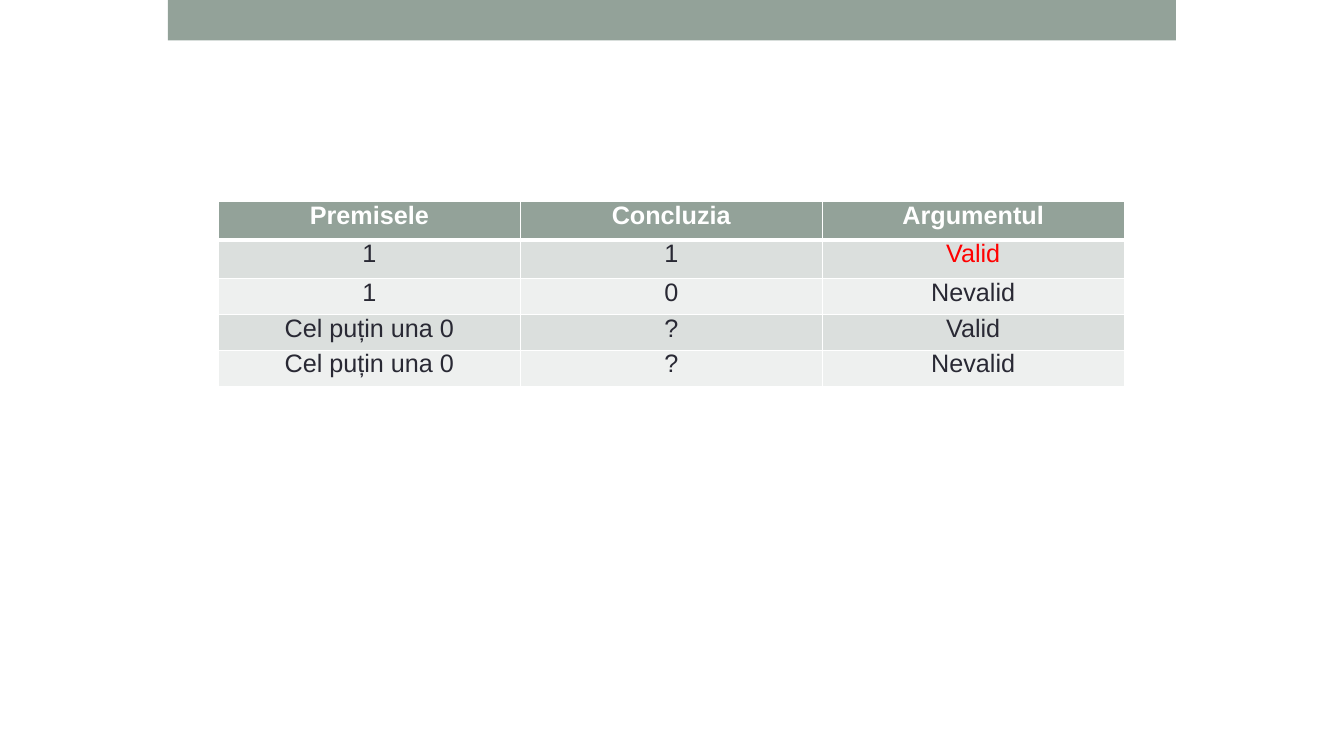
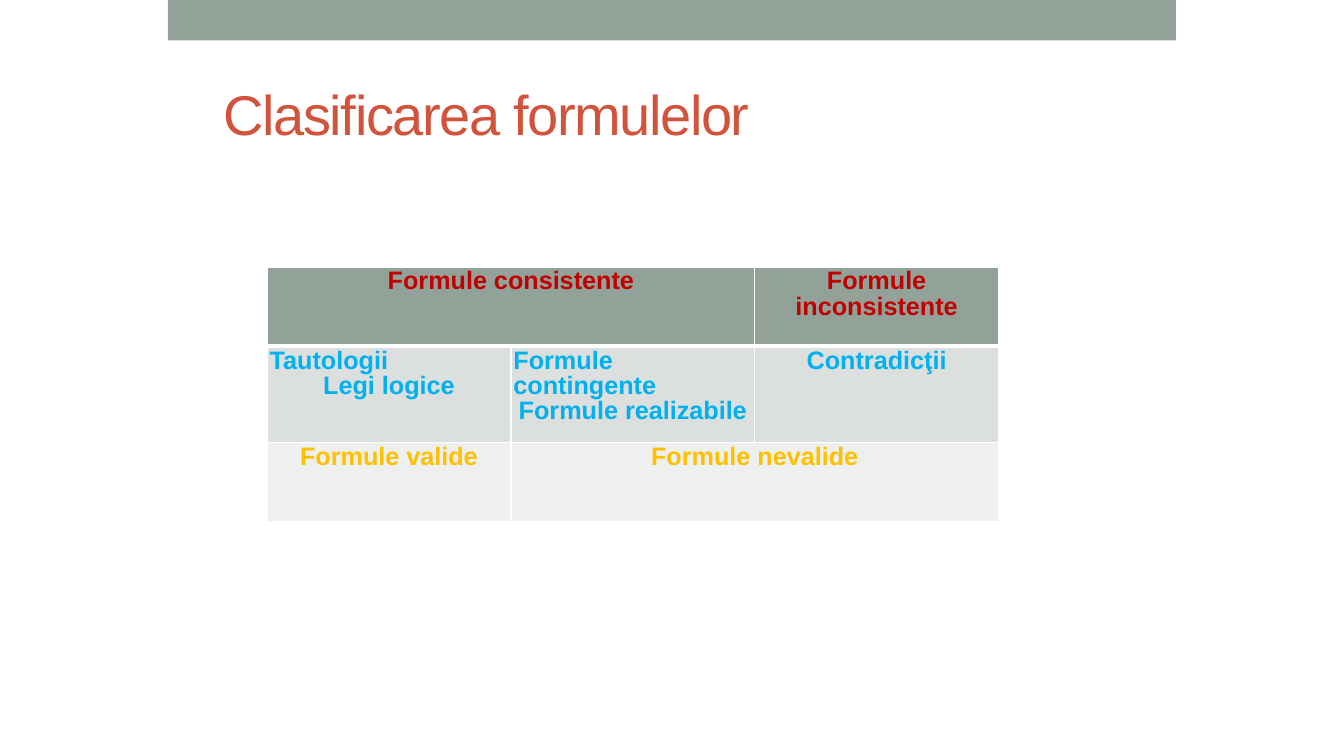
from lxml.etree import SubElement
from pptx import Presentation
from pptx.dml.color import RGBColor
from pptx.enum.shapes import MSO_SHAPE
from pptx.enum.text import MSO_ANCHOR, MSO_AUTO_SIZE, PP_ALIGN
from pptx.oxml.ns import qn
from pptx.util import Pt

# Shared colours and font
SAGE = RGBColor(0x93, 0xA2, 0x99)
PALE_DARK = RGBColor(0xDB, 0xDF, 0xDD)
PALE_LIGHT = RGBColor(0xEE, 0xF0, 0xEF)
WHITE = RGBColor(0xFF, 0xFF, 0xFF)
INK = RGBColor(0x29, 0x29, 0x34)
RED = RGBColor(0xFF, 0x00, 0x00)
DARK_RED = RGBColor(0xC0, 0x00, 0x00)
SKY = RGBColor(0x00, 0xB0, 0xF0)
AMBER = RGBColor(0xFF, 0xC0, 0x00)
BRICK = RGBColor(0xD2, 0x53, 0x3C)
FONT = "Arial"


def write_text(frame, text, size=36, color=INK, bold=False, aligns=(PP_ALIGN.CENTER,),
               line_spacing=0.9, inset=3.6, tracking=None):
    """Fill a frame, one paragraph per line; aligns gives each line's alignment."""
    frame.word_wrap = True
    frame.margin_left = frame.margin_right = Pt(inset)
    frame.margin_top = frame.margin_bottom = Pt(inset)
    for index, line in enumerate(text.split("\n")):
        paragraph = frame.paragraphs[0] if index == 0 else frame.add_paragraph()
        paragraph.alignment = aligns[min(index, len(aligns) - 1)]
        paragraph.line_spacing = line_spacing
        paragraph.space_before = Pt(0)
        run = paragraph.add_run()
        run.text = line
        run.font.name, run.font.size = FONT, Pt(size)
        run.font.bold, run.font.color.rgb = bold, color
        if tracking is not None:
            run.font._element.set("spc", str(tracking * 100))


def add_grid(slide, left, top, column_width, row_heights, rows):
    """Add a banded table; each cell is (text, format), None extends the cell before."""
    columns = len(rows[0])
    table = slide.shapes.add_table(len(rows), columns, Pt(left), Pt(top),
                                   Pt(column_width * columns), Pt(sum(row_heights))).table
    for column in table.columns:
        column.width = Pt(column_width)
    for r, (height, row) in enumerate(zip(row_heights, rows)):
        table.rows[r].height = Pt(height)
        for c, content in enumerate(row):
            cell = table.cell(r, c)
            # White rules, thick under the header
            properties = cell._tc.get_or_add_tcPr()
            widths = {"L": 2, "R": 2, "T": 6 if r == 1 else 2, "B": 6 if r == 0 else 2}
            for side, width in widths.items():
                rule = SubElement(properties, qn(f"a:ln{side}"), w=str(Pt(width)))
                SubElement(SubElement(rule, qn("a:solidFill")), qn("a:srgbClr"), val=str(WHITE))
            cell.fill.solid()
            cell.fill.fore_color.rgb = SAGE if r == 0 else (PALE_LIGHT, PALE_DARK)[r % 2]
            cell.margin_left = cell.margin_right = Pt(3.6)
            cell.margin_top = cell.margin_bottom = Pt(3.6)
            if content is None:
                table.cell(r, c - 1).merge(cell)
            else:
                text, style = content
                write_text(cell.text_frame, text, **style)


deck = Presentation()
deck.slide_width, deck.slide_height = Pt(1920), Pt(1080)
TITLE_ONLY, BLANK = deck.slide_layouts[5], deck.slide_layouts[6]
validity = deck.slides.add_slide(BLANK)
formulas = deck.slides.add_slide(TITLE_ONLY)

# Top band on every slide
for slide in (validity, formulas):
    band = slide.shapes.add_shape(MSO_SHAPE.RECTANGLE, Pt(240), Pt(0), Pt(1440), Pt(57.6))
    band.shadow.inherit = False
    band.fill.solid()
    band.fill.fore_color.rgb = SAGE
    band.line.fill.background()

# Slide 1: validity of arguments
header = {"color": WHITE, "bold": True}
validity_rows = [[(text, header) for text in ("Premisele", "Concluzia", "Argumentul")]]
for premises, conclusion, verdict, verdict_color in (
        ("1", "1", "Valid", RED),
        ("1", "0", "Nevalid", INK),
        ("Cel puțin una 0", "?", "Valid", INK),
        ("Cel puțin una 0", "?", "Nevalid", INK)):
    validity_rows.append([(premises, {}), (conclusion, {}), (verdict, {"color": verdict_color})])
add_grid(validity, 312, 288, 431.3, [54.72] * 2 + [51.4] * 3, validity_rows)

# Slide 2: title
title = formulas.shapes.title
title.left, title.top, title.width, title.height = Pt(312), Pt(84), Pt(1296), Pt(156)
title.text_frame.vertical_anchor = MSO_ANCHOR.MIDDLE
title.text_frame.auto_size = MSO_AUTO_SIZE.NONE
write_text(title.text_frame, "Clasificarea formulelor", size=80, color=BRICK,
           aligns=(PP_ALIGN.LEFT,), line_spacing=1.0, inset=7.2, tracking=-2)

# Slide 2: classes of formulas
group = {"color": DARK_RED, "bold": True}
kind = {"color": SKY, "bold": True}
stepped = {**kind, "aligns": (PP_ALIGN.LEFT, PP_ALIGN.CENTER)}
status = {"color": AMBER, "bold": True}
add_grid(formulas, 381.6, 381.6, 348.3, [113, 137.5, 113], [
    [("Formule consistente", group), None, ("Formule inconsistente", group)],
    [("Tautologii\nLegi logice", stepped),
     ("Formule contingente\nFormule realizabile", stepped),
     ("Contradicţii", kind)],
    [("Formule valide", status), ("Formule nevalide", status), None],
])

deck.save("out.pptx")
